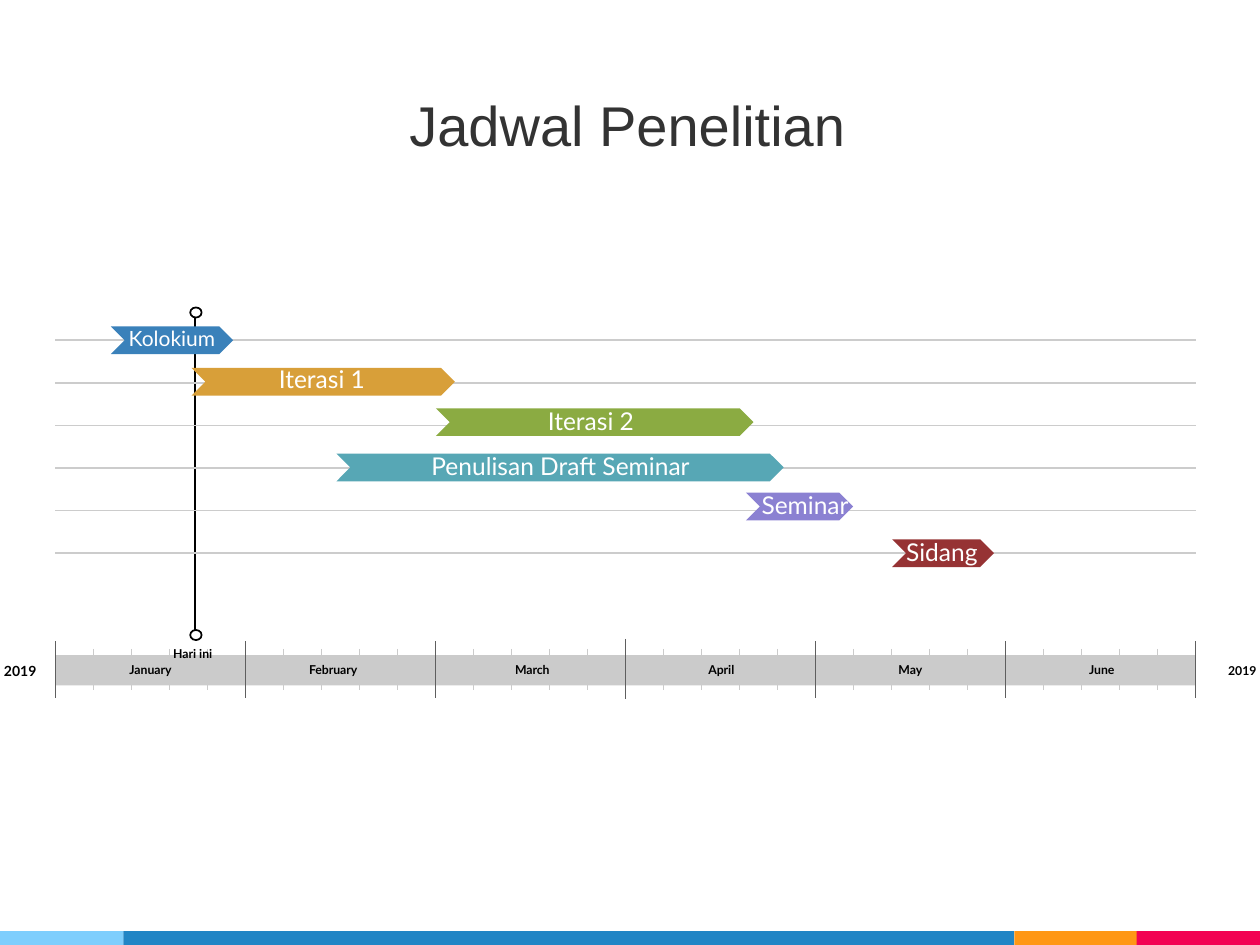
import pptx
import pptx.util
import pptx.dml.color
import pptx.enum.shapes
import pptx.enum.text
import pptx.oxml.ns
import lxml.etree

Inches = pptx.util.Inches
RGBColor = pptx.dml.color.RGBColor
SHAPE = pptx.enum.shapes.MSO_SHAPE
ALIGN = pptx.enum.text.PP_ALIGN
ANCHOR = pptx.enum.text.MSO_ANCHOR

BLACK = RGBColor(0x00, 0x00, 0x00)
WHITE = RGBColor(0xFF, 0xFF, 0xFF)
TITLE_GRAY = RGBColor(0x33, 0x33, 0x33)
BAND_GRAY = RGBColor(0xCB, 0xCB, 0xCB)
ROW_GRAY = RGBColor(0xCC, 0xCC, 0xCC)
MONTH_GRAY = RGBColor(0x5F, 0x5F, 0x5F)
SKY = RGBColor(0x7E, 0xCE, 0xFD)
BLUE = RGBColor(0x21, 0x85, 0xC5)
ORANGE = RGBColor(0xFF, 0x97, 0x15)
PINK = RGBColor(0xF2, 0x02, 0x53)

AXIS_LEFT, AXIS_WIDTH = 0.44, 9.05
MONTH_WIDTH = AXIS_WIDTH / 6
WEEKS = 5
CHEVRON_HEIGHT = 0.22

# left, width, colour
FOOTER = [(0, 0.98, SKY), (0.98, 7.07, BLUE), (8.05, 0.98, ORANGE), (9.02, 0.98, PINK)]

# name, label left
MONTHS = [("January", 0.86), ("February", 2.31), ("March", 3.89),
          ("April", 5.39), ("May", 6.89), ("June", 8.41)]

# name, chevron (left, top, width), colour, label (left, top, width), text size
TASKS = [
    ("Kolokium", (0.88, 2.59, 0.97), RGBColor(0x3A, 0x81, 0xBA), (0.94, 2.58, 0.85), 12),
    ("Iterasi 1", (1.52, 2.92, 2.09), RGBColor(0xD8, 0x9F, 0x39), (1.71, 2.89, 1.69), 14),
    ("Iterasi 2", (3.46, 3.24, 2.52), RGBColor(0x8B, 0xAB, 0x42), (3.8, 3.22, 1.78), 14),
    ("Penulisan Draft Seminar", (2.67, 3.6, 3.55), RGBColor(0x57, 0xA7, 0xB5),
     (3.3, 3.58, 2.3), 14),
    ("Seminar", (5.92, 3.91, 0.85), RGBColor(0x8B, 0x81, 0xD2), (6.02, 3.89, 0.74), 14),
    ("Sidang", (7.08, 4.28, 0.81), RGBColor(0x96, 0x33, 0x34), (7.18, 4.26, 0.59), 14),
]


def add_filled(s, kind, left, top, width, height, fill, line=None):
    sp = s.shapes.add_shape(kind, Inches(left), Inches(top), Inches(width), Inches(height))
    sp.shadow.inherit = False
    sp.fill.solid()
    sp.fill.fore_color.rgb = fill
    if line is None:
        sp.line.fill.background()
    else:
        sp.line.color.rgb = line
        sp.line.width = pptx.util.Pt(1)
    return sp


def add_line(s, x1, y1, x2, y2, color, width):
    c = s.shapes.add_connector(pptx.enum.shapes.MSO_CONNECTOR.STRAIGHT,
                               Inches(x1), Inches(y1), Inches(x2), Inches(y2))
    c.line.color.rgb = color
    c.line.width = pptx.util.Pt(width)
    lxml.etree.SubElement(c._element.spPr, pptx.oxml.ns.qn("a:effectLst"))


def add_label(s, text, left, top, width, height, size, color=BLACK, bold=True,
              align=ALIGN.CENTER):
    """Add a one-line text box without margins."""
    tb = s.shapes.add_textbox(Inches(left), Inches(top), Inches(width), Inches(height))
    tf = tb.text_frame
    tf.word_wrap = True
    tf.margin_left = tf.margin_right = tf.margin_top = tf.margin_bottom = 0
    p = tf.paragraphs[0]
    p.text = text
    p.alignment = align
    p.font.size = pptx.util.Pt(size)
    p.font.name = "Lato"
    p.font.bold = bold
    p.font.color.rgb = color
    return tf


def add_title(s, text):
    tb = s.shapes.add_textbox(Inches(3.15), Inches(0.67), Inches(3.69), Inches(0.64))
    tf = tb.text_frame
    tf.word_wrap = False
    tf.auto_size = pptx.enum.text.MSO_AUTO_SIZE.SHAPE_TO_FIT_TEXT
    p = tf.paragraphs[0]
    p.text = text
    p.alignment = ALIGN.JUSTIFY
    p.font.size = pptx.util.Pt(32)
    p.font.name = "Arial"
    p.font.color.rgb = TITLE_GRAY


def add_today_line(s):
    add_line(s, 1.55, 2.52, 1.55, 5, BLACK, 1)
    for top in (2.44, 5):
        add_filled(s, SHAPE.OVAL, 1.51, top, 0.09, 0.08, WHITE, BLACK)


def add_axis(s):
    """Add the month band with week ticks, month ticks and labels."""
    for i in range(len(MONTHS) * WEEKS):
        if i % WEEKS:
            x = AXIS_LEFT + i * MONTH_WIDTH / WEEKS
            add_line(s, x, 5.15, x, 5.48, BAND_GRAY, 0.75)
    add_filled(s, SHAPE.RECTANGLE, AXIS_LEFT, 5.2, AXIS_WIDTH, 0.24, BAND_GRAY)
    for i in range(len(MONTHS) + 1):
        x = AXIS_LEFT + i * MONTH_WIDTH
        extra = 0.02 if i == 3 else 0
        add_line(s, x, 5.09 - extra, x, 5.54 + extra / 2, MONTH_GRAY, 0.75)
    for name, left in MONTHS:
        add_label(s, name, left, 5.26, 0.67, 0.12, 7)
    add_label(s, "2019", -0.05, 5.26, 0.34, 0.13, 8, align=ALIGN.RIGHT)
    tf = add_label(s, "2019", 9.59, 5.09, 0.54, 0.43, 7)
    tf.vertical_anchor = ANCHOR.MIDDLE
    tf.paragraphs[0].line_spacing = 1.25


def add_tasks(s):
    for i in range(len(TASKS)):
        y = 2.7 + i * 0.338
        add_line(s, AXIS_LEFT, y, AXIS_LEFT + AXIS_WIDTH, y, ROW_GRAY, 1)
    for name, chevron, color, label, size in TASKS:
        add_filled(s, SHAPE.CHEVRON, *chevron, CHEVRON_HEIGHT, color)
        add_label(s, name, *label, 0.19, size, WHITE, bold=False)


def main():
    prs = pptx.Presentation()
    prs.slide_width, prs.slide_height = Inches(10), Inches(7.5)
    s = prs.slides.add_slide(prs.slide_layouts[6])
    for left, width, color in FOOTER:
        add_filled(s, SHAPE.RECTANGLE, left, 7.39, width, 0.11, color)
    add_today_line(s)
    add_axis(s)
    add_tasks(s)
    add_label(s, "Hari ini", 1.21, 5.13, 0.64, 0.12, 7)
    add_title(s, "Jadwal Penelitian")
    prs.save("out.pptx")


if __name__ == "__main__":
    main()
